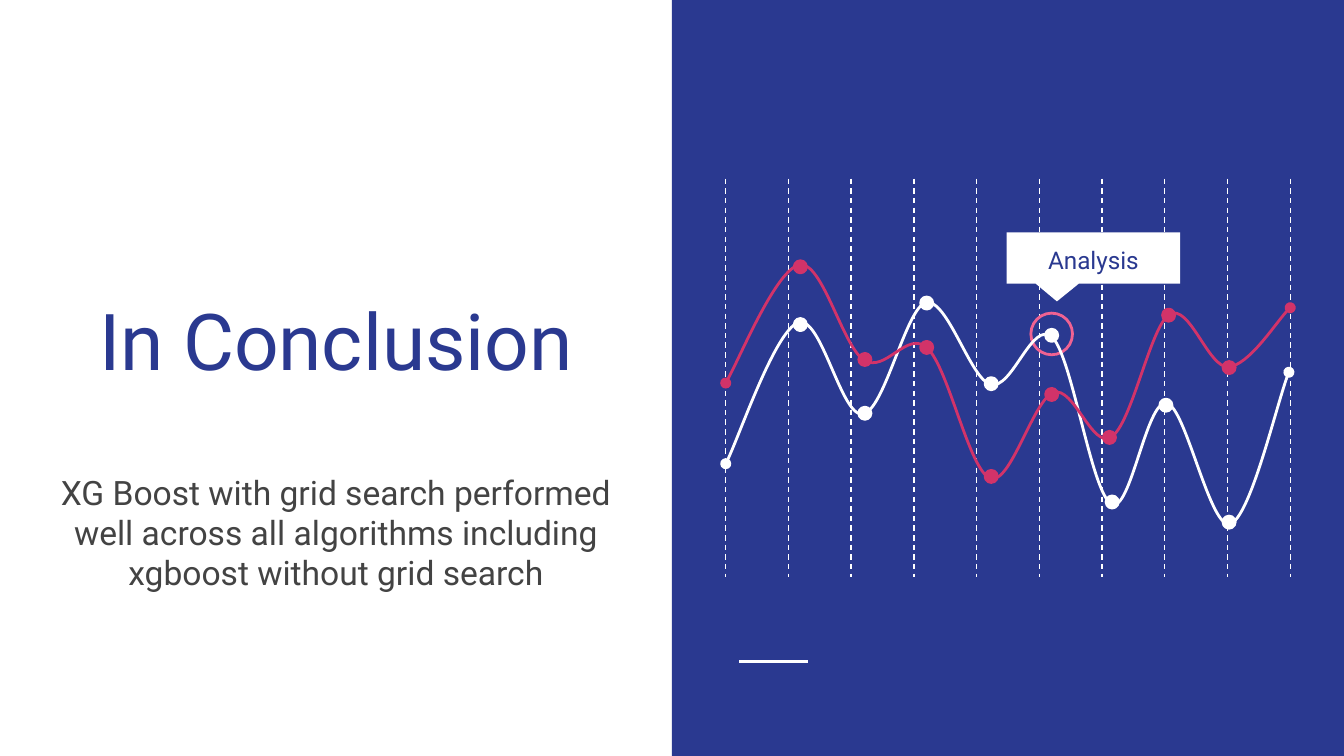
from lxml import etree
from pptx import Presentation
from pptx.dml.color import RGBColor
from pptx.enum.dml import MSO_LINE
from pptx.enum.shapes import MSO_CONNECTOR, MSO_SHAPE
from pptx.enum.text import MSO_ANCHOR, PP_ALIGN
from pptx.oxml.ns import qn
from pptx.util import Pt

PX = 9144
STRAIGHT = MSO_CONNECTOR.STRAIGHT
RECTANGLE = MSO_SHAPE.RECTANGLE
OVAL = MSO_SHAPE.OVAL
CALLOUT = MSO_SHAPE.ROUNDED_RECTANGULAR_CALLOUT
DASH = MSO_LINE.DASH
TOP, MIDDLE, BOTTOM = MSO_ANCHOR.TOP, MSO_ANCHOR.MIDDLE, MSO_ANCHOR.BOTTOM
CENTER = PP_ALIGN.CENTER

FONT = "Roboto"
BLUE, WHITE, PINK, RING_PINK, GREY = "2A3990", "FFFFFF", "D23369", "F06292", "434343"
SLIDE_WIDTH = 1000
SLIDE_HEIGHT = SLIDE_WIDTH * 9 / 16
GRID_LINES = 10
DOT = 9

WHITE_START = (0, 212)
WHITE_CURVE = [
    ((9, 195), (37, 113), (54, 107)),
    ((71, 101), (86, 178), (102, 175)),
    ((118, 173), (134, 96), (149, 92)),
    ((165, 89), (182, 149), (197, 153)),
    ((213, 158), (228, 104), (243, 118)),
    ((258, 133), (272, 234), (287, 242)),
    ((301, 250), (313, 164), (328, 167)),
    ((342, 169), (360, 260), (375, 257)),
    ((390, 253), (411, 163), (419, 144)),
]
WHITE_DOTS = [(51, 104), (99, 170), (145, 88), (193, 148),
              (238, 112), (283, 236), (323, 164), (370, 251)]
PINK_START = (0, 152)
PINK_CURVE = [
    ((9, 137), (38, 67), (55, 64)),
    ((72, 61), (87, 125), (103, 135)),
    ((119, 145), (135, 112), (150, 126)),
    ((166, 141), (181, 217), (197, 223)),
    ((212, 228), (229, 164), (244, 159)),
    ((259, 154), (273, 202), (287, 192)),
    ((302, 183), (316, 110), (330, 101)),
    ((345, 92), (359, 141), (374, 140)),
    ((389, 139), (412, 103), (420, 96)),
]
PINK_DOTS = [(51, 61), (99, 130), (145, 121), (193, 217),
             (238, 156), (281, 188), (325, 97), (370, 136)]


def emu(*lengths):
    """Turn px lengths into EMU."""
    return [round(length * PX) for length in lengths]


def color(hex_string):
    """Return the colour for a hex string."""
    return RGBColor.from_string(hex_string)


def style(shape, fill=None, line=None):
    """Set fill and line, leaving out what is None, and drop the shadow."""
    shape.shadow.inherit = False
    if fill:
        shape.fill.solid()
        shape.fill.fore_color.rgb = color(fill)
    else:
        shape.fill.background()
    if line:
        shape.line.color.rgb = color(line)
        shape.line.width = Pt(1.5)
    else:
        shape.line.fill.background()


def add_shape(slide, kind, box, fill=None, line=None):
    """Add a styled preset shape."""
    shape = slide.shapes.add_shape(kind, *emu(*box))
    style(shape, fill, line)
    return shape


def add_line(slide, ends, width, dash=None):
    """Add a white straight line."""
    connector = slide.shapes.add_connector(STRAIGHT, *emu(*ends))
    connector.line.color.rgb = color(WHITE)
    connector.line.width = Pt(width)
    if dash:
        connector.line.dash_style = dash
    etree.SubElement(connector._element.spPr, qn("a:effectLst"))


def add_text(slide, box, text, size, hex_string, anchor, spacing=None):
    """Add a centred text box."""
    frame = slide.shapes.add_textbox(*emu(*box)).text_frame
    frame.word_wrap = True
    frame.vertical_anchor = anchor
    frame.margin_left = frame.margin_right = emu(10)[0]
    frame.margin_top = frame.margin_bottom = emu(10)[0]
    frame.text = text
    paragraph = frame.paragraphs[0]
    paragraph.alignment = CENTER
    if spacing:
        paragraph.line_spacing = spacing
    font = paragraph.runs[0].font
    font.name = FONT
    font.size = Pt(size)
    font.color.rgb = color(hex_string)


def add_curve(slide, left, top, start, segments, hex_string):
    """Add a smooth open line with round ends through the segment ends."""
    anchors = [start] + [end for _, _, end in segments]
    min_x = min(x for x, _ in anchors)
    min_y = min(y for _, y in anchors)
    builder = slide.shapes.build_freeform(left + start[0], top + start[1], scale=PX)
    builder.add_line_segments([(left + x, top + y) for x, y in anchors[1:]], close=False)
    curve = builder.convert_to_shape()
    style(curve, line=hex_string)
    steps = list(curve._element.iter(qn("a:lnTo")))
    for step, (first, second, _) in zip(steps, segments):
        step.tag = qn("a:cubicBezTo")
        for index, (x, y) in enumerate((first, second)):
            point = etree.Element(qn("a:pt"), x=str(x - min_x), y=str(y - min_y))
            step.insert(index, point)
    outline = curve._element.spPr.find(qn("a:ln"))
    for end in ("a:headEnd", "a:tailEnd"):
        etree.SubElement(outline, qn(end), type="oval")


def add_series(slide, left, top, start, segments, dots, hex_string):
    """Add one curve and its dots."""
    add_curve(slide, left, top, start, segments, hex_string)
    for x, y in dots:
        add_shape(slide, OVAL, (left + x, top + y, DOT, DOT), hex_string, hex_string)


def add_panel(slide, left, top, width, height):
    """Fill the right half and add its short accent line."""
    add_shape(slide, RECTANGLE, (left, top, width, height), BLUE)
    add_line(slide, (left + 50, top + 492, left + 101, top + 492), 1.5)


def add_graph(slide, left, top, width, height):
    """Add the dashed grid, both series and the callout."""
    for index in range(GRID_LINES):
        x = left + width * index / (GRID_LINES - 1)
        add_line(slide, (x, top, x, top + height), 0.75, DASH)
    add_shape(slide, OVAL, (left + 227, top + 100, 31, 31), line=RING_PINK)
    add_series(slide, left, top, WHITE_START, WHITE_CURVE, WHITE_DOTS, WHITE)
    callout = add_shape(slide, CALLOUT, (left + 209, top + 40, 129, 38), WHITE)
    for index, value in enumerate((-0.21, 0.85, 0)):
        callout.adjustments[index] = value
    add_series(slide, left, top, PINK_START, PINK_CURVE, PINK_DOTS, PINK)
    add_text(slide, (left + 209, top + 43, 129, 31), "Analysis", 13, BLUE, MIDDLE, 1.15)


def add_message(slide, left, top, width):
    """Add the title and the sentence below it."""
    add_text(slide, (left, top, width, 171), "In Conclusion", 42, BLUE, BOTTOM)
    add_text(slide, (left, top + 215, width, 96),
             "XG Boost with grid search performed well across all algorithms "
             "including xgboost without grid search", 18, GREY, TOP)


def main():
    """Build and save the slide."""
    presentation = Presentation()
    presentation.slide_width, presentation.slide_height = emu(SLIDE_WIDTH, SLIDE_HEIGHT)
    slide = presentation.slides.add_slide(presentation.slide_layouts[6])
    slide.background.fill.solid()
    slide.background.fill.fore_color.rgb = color(WHITE)
    add_panel(slide, SLIDE_WIDTH // 2, 0, SLIDE_WIDTH // 2, SLIDE_HEIGHT)
    add_message(slide, 29, 126, 442)
    add_graph(slide, 540, 133, 420, 296)
    presentation.save("out.pptx")


if __name__ == "__main__":
    main()
